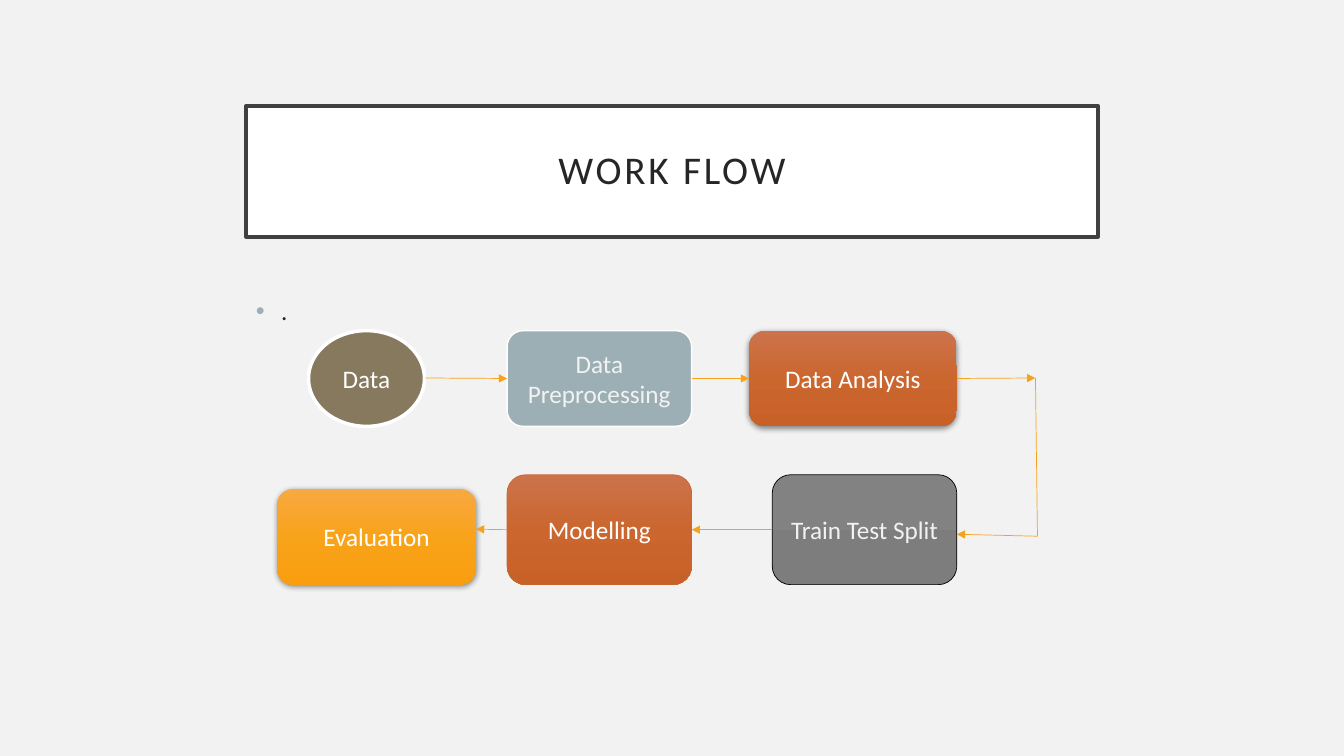
from dataclasses import dataclass
from typing import Optional

from lxml import etree
from pptx import Presentation
from pptx.dml.color import RGBColor
from pptx.enum.shapes import MSO_CONNECTOR, MSO_SHAPE
from pptx.enum.text import MSO_ANCHOR, PP_ALIGN
from pptx.oxml.ns import qn
from pptx.util import Inches, Pt

FONT = "Calibri"
WHITE = RGBColor(0xFF, 0xFF, 0xFF)
BLACK = RGBColor(0x00, 0x00, 0x00)
PALE = RGBColor(0xF2, 0xF2, 0xF2)
INK = RGBColor(0x26, 0x26, 0x26)
FRAME = RGBColor(0x40, 0x40, 0x40)
OLIVE = RGBColor(0x87, 0x79, 0x5D)
BLUE_GRAY = RGBColor(0x9B, 0xAF, 0xB5)
RUST = RGBColor(0xC9, 0x67, 0x31)
ARROW = RGBColor(0xF6, 0xA2, 0x1D)
RUST_FADE = (RGBColor(0xCC, 0x73, 0x4B), RGBColor(0xCB, 0x66, 0x2F), RGBColor(0xC8, 0x61, 0x28))
AMBER_FADE = (RGBColor(0xF7, 0xA9, 0x42), RGBColor(0xF9, 0xA3, 0x1A), RGBColor(0xF9, 0x9E, 0x0F))
GRAY_FADE = (RGBColor(0x82, 0x82, 0x82), RGBColor(0x7D, 0x7D, 0x7D))

TOP, LEFT, BOTTOM, RIGHT = range(4)


@dataclass
class Step:
    text: str
    box: tuple[float, float, float, float]
    fill: tuple[RGBColor, ...]
    line: Optional[RGBColor] = None
    line_width: float = 0.5
    color: RGBColor = WHITE
    shadow: bool = False
    kind: MSO_SHAPE = MSO_SHAPE.ROUNDED_RECTANGLE


@dataclass
class Link:
    start: tuple[float, float]
    end: tuple[float, float]
    source: Optional[tuple[str, int]] = None
    target: Optional[tuple[str, int]] = None
    arrow: bool = True


STEPS = [
    Step("Data", (3.06, 3.28, 1.15, 0.95), (OLIVE,), WHITE, 2.5, kind=MSO_SHAPE.OVAL),
    Step("Data Preprocessing", (5.03, 3.28, 1.83, 0.95), (BLUE_GRAY,), WHITE, 1, PALE),
    Step("Data Analysis", (7.43, 3.28, 2.06, 0.95), RUST_FADE, shadow=True),
    Step("Train Test Split", (7.66, 4.71, 1.83, 1.09), GRAY_FADE, BLACK, color=PALE),
    Step("Modelling", (5.03, 4.71, 1.83, 1.09), RUST_FADE, RUST),
    Step("Evaluation", (2.75, 4.85, 1.97, 0.95), AMBER_FADE, shadow=True),
]

LINKS = [
    Link((4.22, 3.75), (5.03, 3.75), target=("Data Preprocessing", LEFT)),
    Link((6.86, 3.75), (7.43, 3.75), ("Data Preprocessing", RIGHT), ("Data Analysis", LEFT)),
    Link((5.03, 5.25), (4.72, 5.25), source=("Modelling", LEFT)),
    Link((7.66, 5.25), (6.86, 5.25), ("Train Test Split", LEFT), ("Modelling", RIGHT)),
    Link((10.29, 5.32), (9.49, 5.3)),
    Link((10.27, 3.75), (10.29, 5.32), arrow=False),
    Link((9.49, 3.75), (10.27, 3.75), source=("Data Analysis", RIGHT)),
]


def write(shape, text: str, *, size: float = 18, color: RGBColor = WHITE,
          align: PP_ALIGN = PP_ALIGN.CENTER, anchor: MSO_ANCHOR = MSO_ANCHOR.MIDDLE,
          spacing: float = 0, line_spacing: float = 1.0, margin: Optional[float] = None):
    """Write one paragraph into a shape and return it."""
    frame = shape.text_frame
    frame.word_wrap = True
    frame.vertical_anchor = anchor
    if margin is not None:
        frame.margin_left = frame.margin_right = Inches(margin)
        frame.margin_top = frame.margin_bottom = Inches(margin)
    paragraph = frame.paragraphs[0]
    paragraph.alignment = align
    paragraph.line_spacing = line_spacing
    run = paragraph.add_run()
    run.text = text
    run.font.name = FONT
    run.font.size = Pt(size)
    run.font.color.rgb = color
    if spacing:
        run.font._element.set("spc", str(round(spacing * 100)))
    return paragraph


def paint(shape, colors: tuple[RGBColor, ...]) -> None:
    """Fill solid for one colour, otherwise fade evenly from top to bottom."""
    if len(colors) == 1:
        shape.fill.solid()
        shape.fill.fore_color.rgb = colors[0]
        return
    shape.fill.gradient()
    shape.fill.gradient_angle = 270
    stops = shape.element.spPr.find(qn("a:gradFill")).find(qn("a:gsLst"))
    for stop in list(stops):
        stops.remove(stop)
    for i, color in enumerate(colors):
        position = str(100000 * i // (len(colors) - 1))
        stop = etree.SubElement(stops, qn("a:gs"), pos=position)
        etree.SubElement(stop, qn("a:srgbClr"), val=str(color))


def add_shadow(shape) -> None:
    effects = shape.element.spPr.find(qn("a:effectLst"))
    shadow = etree.SubElement(effects, qn("a:outerShdw"), blurRad=str(Pt(4.4)),
                              dist=str(Pt(1.2)), dir="5400000", rotWithShape="0")
    tint = etree.SubElement(shadow, qn("a:srgbClr"), val=str(BLACK))
    etree.SubElement(tint, qn("a:alpha"), val="45000")


def add_step(slide, step: Step):
    shape = slide.shapes.add_shape(step.kind, *map(Inches, step.box))
    shape.shadow.inherit = False
    paint(shape, step.fill)
    if step.line is None:
        shape.line.fill.background()
    else:
        shape.line.color.rgb = step.line
        shape.line.width = Pt(step.line_width)
    if step.shadow:
        add_shadow(shape)
    write(shape, step.text, color=step.color)
    return shape


def add_link(slide, link: Link, steps: dict) -> None:
    connector = slide.shapes.add_connector(
        MSO_CONNECTOR.STRAIGHT, *map(Inches, link.start + link.end))
    if link.source:
        connector.begin_connect(steps[link.source[0]], link.source[1])
    if link.target:
        connector.end_connect(steps[link.target[0]], link.target[1])
    connector.line.color.rgb = ARROW
    connector.line.width = Pt(0.5)
    properties = connector.element.spPr
    if link.arrow:
        etree.SubElement(properties.find(qn("a:ln")), qn("a:tailEnd"), type="triangle")
    etree.SubElement(properties, qn("a:effectLst"))


def add_title(slide) -> None:
    title = slide.shapes.add_shape(
        MSO_SHAPE.RECTANGLE, *map(Inches, (2.44, 1.05, 8.45, 1.3)))
    title.shadow.inherit = False
    paint(title, (WHITE,))
    title.line.color.rgb = FRAME
    title.line.width = Pt(2.5)
    write(title, "WORK FLOW", size=28, color=INK, spacing=2, line_spacing=0.9, margin=0.2)


def add_bullet(slide) -> None:
    body = slide.shapes.add_textbox(*map(Inches, (2.44, 2.88, 8.45, 3.39)))
    paragraph = write(body, ".", color=INK, align=PP_ALIGN.LEFT, anchor=MSO_ANCHOR.TOP)
    paragraph.space_before = Pt(10)
    properties = paragraph._p.get_or_add_pPr()
    properties.set("marL", str(Inches(0.25)))
    properties.set("indent", str(-Inches(0.25)))
    bullet_color = etree.SubElement(properties, qn("a:buClr"))
    etree.SubElement(bullet_color, qn("a:srgbClr"), val=str(BLUE_GRAY))
    etree.SubElement(properties, qn("a:buFont"), typeface="Arial")
    etree.SubElement(properties, qn("a:buChar"), char="•")


def main() -> None:
    deck = Presentation()
    deck.slide_width, deck.slide_height = Inches(13.33), Inches(7.5)
    slide = deck.slides.add_slide(deck.slide_layouts[6])
    slide.background.fill.solid()
    slide.background.fill.fore_color.rgb = PALE

    # Heading and body
    add_title(slide)
    add_bullet(slide)

    # Workflow steps and the arrows between them
    steps = {step.text: add_step(slide, step) for step in STEPS}
    for link in LINKS:
        add_link(slide, link, steps)

    deck.save("out.pptx")


if __name__ == "__main__":
    main()
